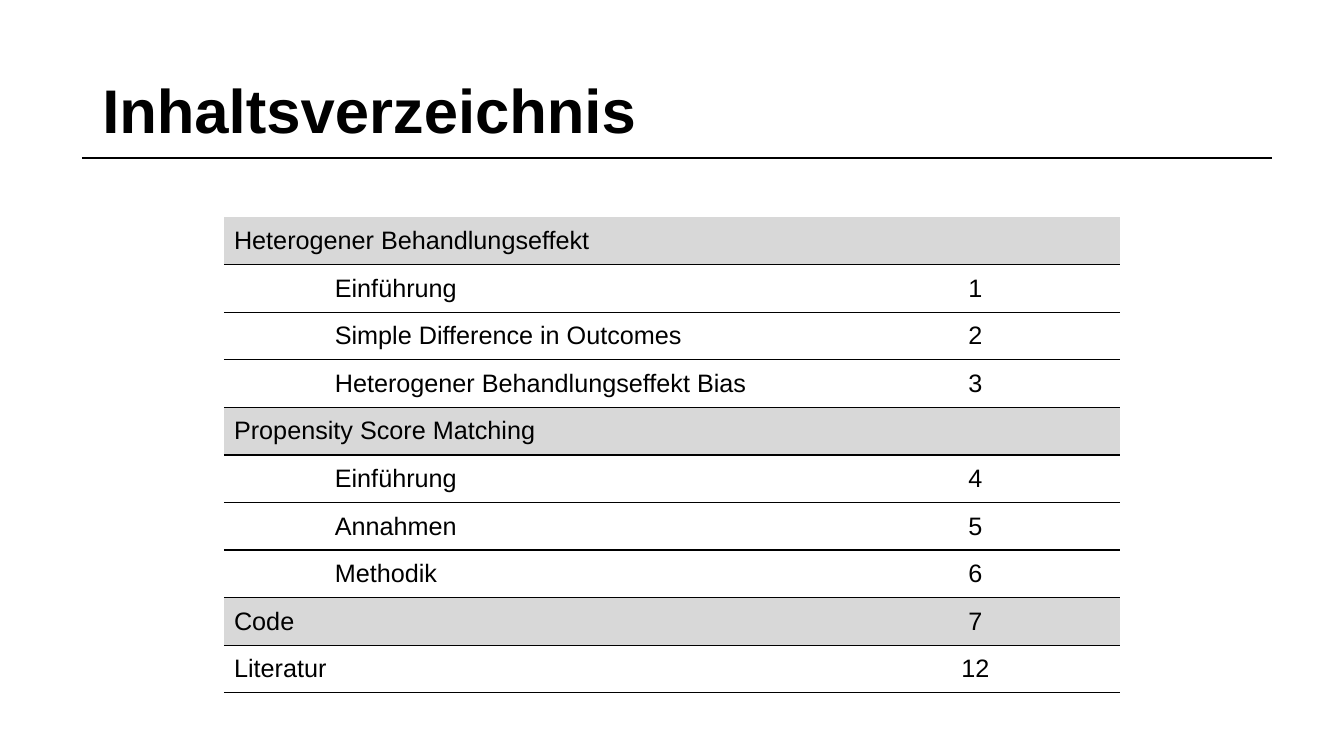
from lxml.etree import SubElement
from pptx import Presentation
from pptx.dml.color import RGBColor
from pptx.enum.shapes import MSO_CONNECTOR
from pptx.enum.text import MSO_ANCHOR, PP_ALIGN
from pptx.oxml import parse_xml
from pptx.oxml.ns import nsdecls, qn
from pptx.util import Emu, Pt

EMU_PER_PX = 6350
COLORS = {"black": "000000", "gray": "D8D8D8"}
FONT = "Arial"
PLAIN_TABLE_STYLE = "{2D5ABB26-0587-4C30-8999-92F81FD0307C}"
ROW_HEIGHT = 68
COLUMN_WIDTHS = (867, 413)
ENTRY_INDENT = 144
CONTENTS = [
    ("Heterogener Behandlungseffekt", "", "section"),
    ("Einführung", "1", "entry"),
    ("Simple Difference in Outcomes", "2", "entry"),
    ("Heterogener Behandlungseffekt Bias", "3", "entry"),
    ("Propensity Score Matching", "", "section"),
    ("Einführung", "4", "entry"),
    ("Annahmen", "5", "entry"),
    ("Methodik", "6", "entry"),
    ("Code", "7", "section"),
    ("Literatur", "12", "closing"),
]


def px(length):
    return Emu(length * EMU_PER_PX)


def color(name):
    return RGBColor.from_string(COLORS[name])


def write_text(text_frame, text, size=18, bold=False, align=PP_ALIGN.LEFT,
               line_spacing=1.0, indent=0):
    paragraph = text_frame.paragraphs[0]
    paragraph.alignment = align
    paragraph.line_spacing = line_spacing
    if indent:
        paragraph.level = 2
        properties = paragraph._p.get_or_add_pPr()
        properties.set("marL", str(px(indent)))
        properties.set("indent", "0")
    run = paragraph.add_run()
    run.text = text
    run.font.name = FONT
    run.font.size = Pt(size)
    run.font.bold = bold
    run.font.color.rgb = color("black")


def add_title(slide, text):
    title = slide.shapes.add_textbox(px(132), px(58), px(1656), px(209))
    title.text_frame.word_wrap = True
    title.text_frame.vertical_anchor = MSO_ANCHOR.MIDDLE
    write_text(title.text_frame, text, size=44, bold=True, line_spacing=0.9)


def add_rule(slide, left, right, top):
    rule = slide.shapes.add_connector(
        MSO_CONNECTOR.STRAIGHT, px(left), px(top), px(right), px(top))
    rule.line.color.rgb = color("black")
    rule.line.width = Pt(1.5)
    SubElement(rule._element.spPr, qn("a:effectLst"))


def set_bottom_border(cell):
    border = parse_xml(
        f'<a:lnB {nsdecls("a")} w="{Pt(1)}"><a:solidFill>'
        f'<a:srgbClr val="{COLORS["black"]}"/></a:solidFill></a:lnB>')
    cell._tc.get_or_add_tcPr().insert(0, border)


def format_cell(cell, text, shaded, **text_format):
    cell.vertical_anchor = MSO_ANCHOR.MIDDLE
    if shaded:
        cell.fill.solid()
        cell.fill.fore_color.rgb = color("gray")
    else:
        cell.fill.background()
    set_bottom_border(cell)
    if text:
        write_text(cell.text_frame, text, **text_format)


def add_contents_table(slide, left, top):
    frame = slide.shapes.add_table(
        len(CONTENTS), len(COLUMN_WIDTHS), px(left), px(top),
        px(sum(COLUMN_WIDTHS)), px(ROW_HEIGHT * len(CONTENTS)))
    table = frame.table
    table.first_row = False
    table.horz_banding = False
    for style in frame._element.iter(qn("a:tableStyleId")):
        style.text = PLAIN_TABLE_STYLE
    for column, width in zip(table.columns, COLUMN_WIDTHS):
        column.width = px(width)
    for row, (heading, page, kind) in zip(table.rows, CONTENTS):
        row.height = px(ROW_HEIGHT)
        heading_cell, page_cell = row.cells
        shaded = kind == "section"
        indent = ENTRY_INDENT if kind == "entry" else 0
        format_cell(heading_cell, heading, shaded, indent=indent)
        format_cell(page_cell, page, shaded, align=PP_ALIGN.CENTER)


def main():
    presentation = Presentation()
    presentation.slide_width = px(1920)
    presentation.slide_height = px(1080)
    slide = presentation.slides.add_slide(presentation.slide_layouts[6])
    add_title(slide, "Inhaltsverzeichnis")
    add_contents_table(slide, left=320, top=310)
    add_rule(slide, left=117, right=1817, top=226)
    presentation.save("out.pptx")


if __name__ == "__main__":
    main()
